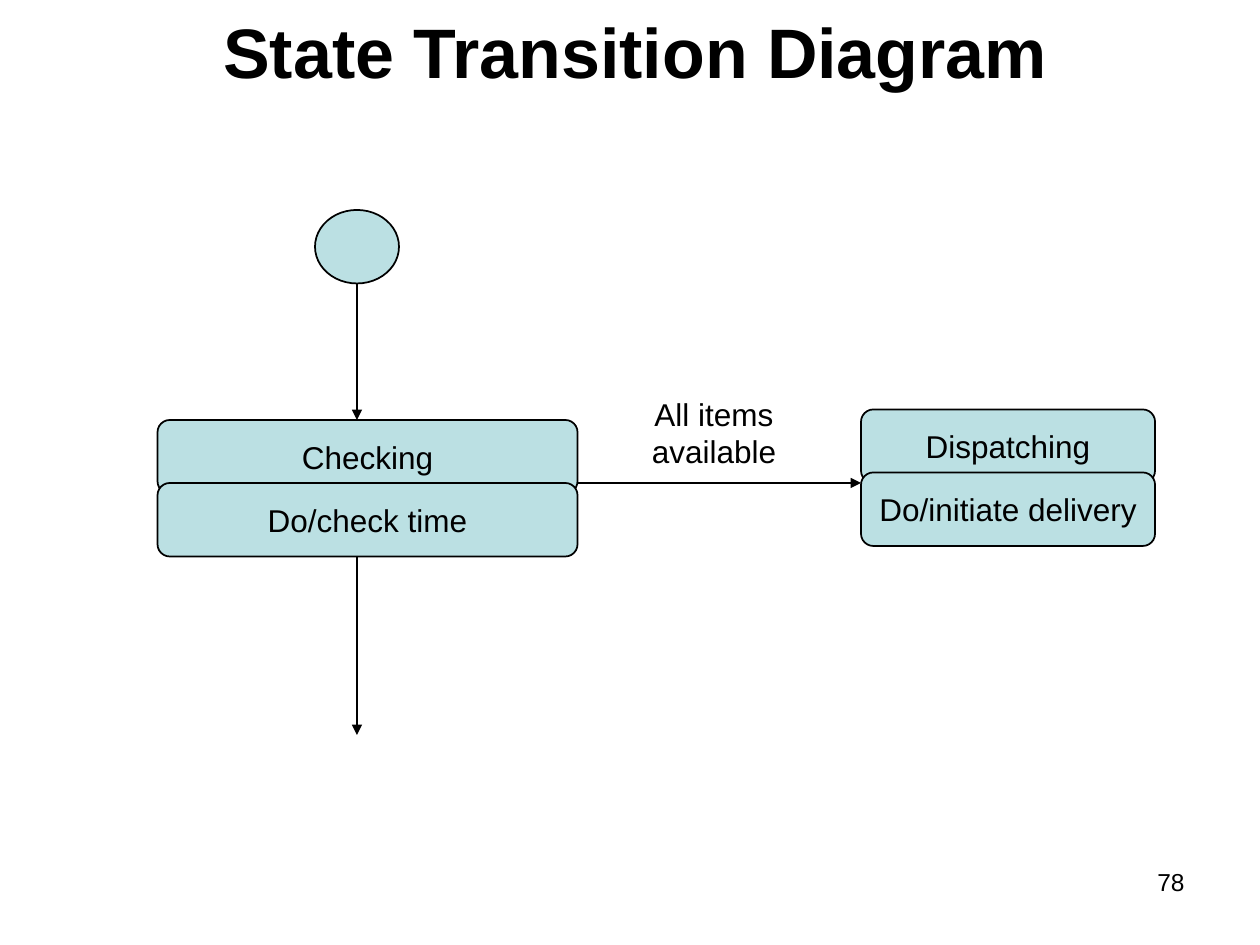
"""Build the state transition diagram slide."""
from pptx import Presentation
from pptx.dml.color import RGBColor
from pptx.enum.shapes import MSO_CONNECTOR, MSO_SHAPE
from pptx.enum.text import MSO_ANCHOR, MSO_AUTO_SIZE, PP_ALIGN
from pptx.oxml.ns import qn
from pptx.util import Pt
from lxml.etree import SubElement

PX = 7620
FONT = "Arial"
COLORS = {"fill": "BBE0E3", "ink": "000000"}

TITLE = ("State Transition Diagram", (10, 16, 1190, 64))
START = (300, 200, 80, 70)
STATE_HEIGHT, STATE_STEP = 70, 60
STATES = [
    (150, 400, 400, ("Checking", "Do/check time")),
    (820, 390, 280, ("Dispatching", "Do/initiate delivery")),
]
ARROWS = [
    (340, 270, 340, 400),
    (340, 530, 340, 700),
    (550, 460, 820, 460),
]
LABELS = [
    ("All items available", (560, 370, 240, 84), 18, PP_ALIGN.CENTER),
    ("78", (860, 820, 280, 62), 14, PP_ALIGN.RIGHT),
]


def emu(lengths):
    return [length * PX for length in lengths]


def color(name):
    return RGBColor.from_string(COLORS[name])


def set_text(shape, text, size, align=PP_ALIGN.CENTER, bold=False):
    shape.text_frame.text = text
    paragraph = shape.text_frame.paragraphs[0]
    paragraph.alignment = align
    font = paragraph.runs[0].font
    font.name, font.size, font.bold = FONT, Pt(size), bold
    font.color.rgb = color("ink")


def set_line(shape):
    shape.line.color.rgb = color("ink")
    shape.line.width = Pt(1)


def add_node(slide, kind, box):
    shape = slide.shapes.add_shape(kind, *emu(box))
    shape.shadow.inherit = False
    shape.fill.solid()
    shape.fill.fore_color.rgb = color("fill")
    set_line(shape)
    return shape


def add_state(slide, left, top, width, texts):
    for row, text in enumerate(texts):
        box = (left, top + row * STATE_STEP, width, STATE_HEIGHT)
        shape = add_node(slide, MSO_SHAPE.FLOWCHART_ALTERNATE_PROCESS, box)
        shape.text_frame.word_wrap = False
        shape.text_frame.vertical_anchor = MSO_ANCHOR.MIDDLE
        set_text(shape, text, 18)


def add_arrow(slide, ends):
    arrow = slide.shapes.add_connector(MSO_CONNECTOR.STRAIGHT, *emu(ends))
    set_line(arrow)
    SubElement(arrow.line._get_or_add_ln(), qn("a:tailEnd"), type="triangle")
    SubElement(arrow._element.spPr, qn("a:effectLst"))


def add_title(slide, text, box):
    title = slide.shapes.title
    title.left, title.top, title.width, title.height = emu(box)
    title.text_frame.auto_size = MSO_AUTO_SIZE.NONE
    title.text_frame.vertical_anchor = MSO_ANCHOR.MIDDLE
    set_text(title, text, 40, bold=True)


def main():
    presentation = Presentation()
    presentation.slide_width, presentation.slide_height = emu((1200, 900))
    slide = presentation.slides.add_slide(presentation.slide_layouts[5])
    add_title(slide, *TITLE)
    add_node(slide, MSO_SHAPE.OVAL, START)
    for state in STATES:
        add_state(slide, *state)
    for ends in ARROWS:
        add_arrow(slide, ends)
    for text, box, size, align in LABELS:
        label = slide.shapes.add_textbox(*emu(box))
        label.text_frame.word_wrap = True
        set_text(label, text, size, align)
    presentation.save("out.pptx")


if __name__ == "__main__":
    main()
